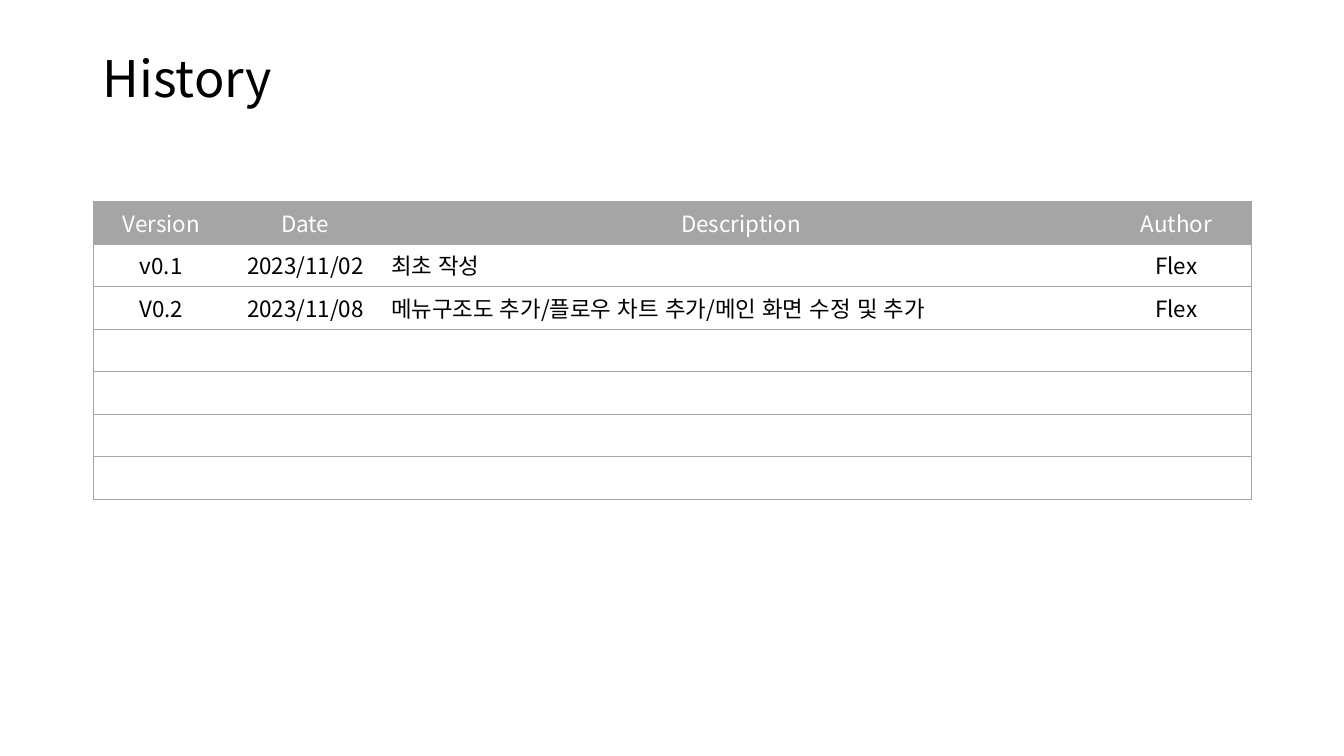
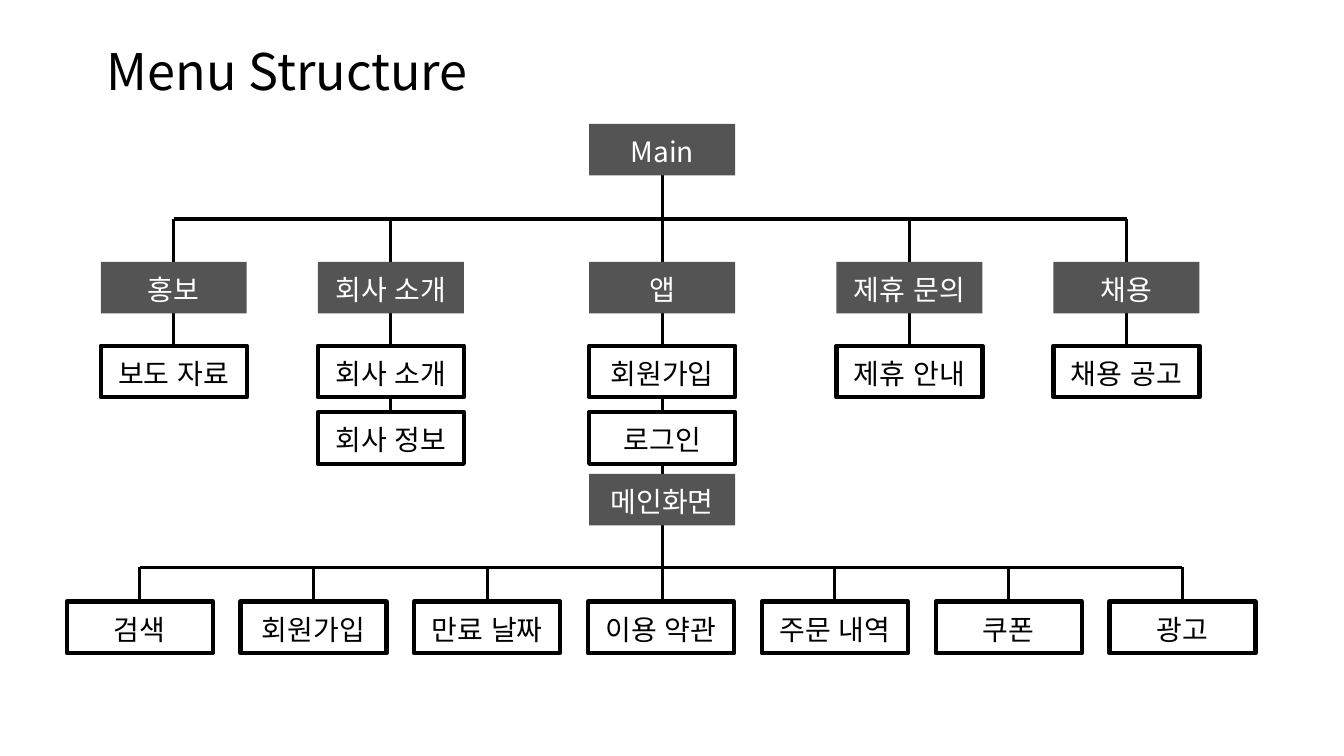
from lxml import etree
from pptx import Presentation
from pptx import util as u
from pptx.dml.color import RGBColor
from pptx.enum import lang, shapes, text
from pptx.oxml.ns import qn

# Shared look
COLORS = {"ink": "000000", "paper": "FFFFFF", "dark": "545454", "rule": "A5A5A5"}
FONT = "Noto Sans CJK KR"
CENTER, LEFT = text.PP_ALIGN.CENTER, text.PP_ALIGN.LEFT
TITLE_SIZE = (29.21, 2.03)

# History table
COLUMN_WIDTHS = [3.45, 3.81, 18.15, 3.79]
ROW_HEIGHT = 1.07
HISTORY = [
    ["Version", "Date", "Description", "Author"],
    ["v0.1", "2023/11/02", "최초 작성", "Flex"],
    ["V0.2", "2023/11/08", "메뉴구조도 추가/플로우 차트 추가/메인 화면 수정 및 추가", "Flex"],
] + [[""] * 4] * 4

# Menu tree: centres across, tops down
BOX_WIDTH, BOX_HEIGHT = 3.68, 1.3
TRUNK_X = 16.69
MAIN_TOP, HEAD_TOP, SCREEN_TOP, LEAF_TOP = 3.12, 6.6, 11.94, 15.16
ITEM_TOPS = [8.71, 10.39]
HEAD_BUS, LEAF_BUS = 5.52, 14.3
MENUS = [
    (4.38, "홍보", ["보도 자료"]),
    (9.85, "회사 소개", ["회사 소개", "회사 정보"]),
    (TRUNK_X, "앱", ["회원가입", "로그인"]),
    (22.92, "제휴 문의", ["제휴 안내"]),
    (28.39, "채용", ["채용 공고"]),
]
LEAVES = ["검색", "회원가입", "만료 날짜", "이용 약관", "주문 내역", "쿠폰", "광고"]
LEAF_START, LEAF_PITCH = 3.52, 4.38


def rgb(name):
    return RGBColor.from_string(COLORS[name])


def set_all(target, values):
    for name, value in values.items():
        setattr(target, name, value)


def write(frame, words, size, color, align=CENTER):
    para = frame.paragraphs[0]
    para.alignment = align
    span = para.add_run()
    span.text = words
    set_all(span.font, {"name": FONT, "size": u.Pt(size), "bold": False,
                        "language_id": lang.MSO_LANGUAGE_ID.KOREAN})
    span.font.color.rgb = rgb(color)
    latin = span.font._element.find(qn("a:latin"))
    east_asian = etree.Element(qn("a:ea"), typeface=FONT)
    latin.addnext(east_asian)
    return para


def add_page(deck, title, left, top):
    page = deck.slides.add_slide(deck.slide_layouts[5])
    box = page.shapes.title
    width, height = TITLE_SIZE
    set_all(box, {"left": u.Cm(left), "top": u.Cm(top),
                  "width": u.Cm(width), "height": u.Cm(height)})
    set_all(box.text_frame, {"vertical_anchor": text.MSO_ANCHOR.MIDDLE,
                             "auto_size": text.MSO_AUTO_SIZE.NONE, "word_wrap": True})
    write(box.text_frame, title, 36, "ink", LEFT).line_spacing = 0.9
    return page


def set_borders(cell, visible):
    properties = cell._tc.get_or_add_tcPr()
    for side in "LRTB":
        line = etree.SubElement(properties, qn(f"a:ln{side}"), w=str(u.Pt(0.5)))
        if side in visible:
            fill = etree.SubElement(line, qn("a:solidFill"))
            etree.SubElement(fill, qn("a:srgbClr"), val=COLORS["rule"])
        else:
            etree.SubElement(line, qn("a:noFill"))


def add_history(page, left, top):
    rows, columns = len(HISTORY), len(COLUMN_WIDTHS)
    table = page.shapes.add_table(
        rows, columns, u.Cm(left), u.Cm(top),
        u.Cm(sum(COLUMN_WIDTHS)), u.Cm(ROW_HEIGHT * rows)).table
    set_all(table, {"first_row": False, "horz_banding": False})
    for column, width in zip(table.columns, COLUMN_WIDTHS):
        column.width = u.Cm(width)
    for row, entries in enumerate(HISTORY):
        header = row == 0
        for column, words in enumerate(entries):
            cell = table.cell(row, column)
            sides = "TB" + "L" * (column == 0) + "R" * (column == columns - 1)
            set_borders(cell, sides)
            cell.fill.solid()
            cell.fill.fore_color.rgb = rgb("rule" if header else "paper")
            if words:
                align = LEFT if column == 2 and not header else CENTER
                write(cell.text_frame, words, 16, "paper" if header else "ink", align)


def add_line(page, x1, y1, x2, y2):
    line = page.shapes.add_connector(
        shapes.MSO_CONNECTOR.STRAIGHT, u.Cm(x1), u.Cm(y1), u.Cm(x2), u.Cm(y2))
    line.line.width = u.Pt(2.25)
    line.line.color.rgb = rgb("ink")
    etree.SubElement(line._element.spPr, qn("a:effectLst"))


def add_box(page, words, center, top, dark=False):
    box = page.shapes.add_shape(
        shapes.MSO_SHAPE.RECTANGLE, u.Cm(center - BOX_WIDTH / 2), u.Cm(top),
        u.Cm(BOX_WIDTH), u.Cm(BOX_HEIGHT))
    box.shadow.inherit = False
    box.fill.solid()
    box.fill.fore_color.rgb = rgb("dark" if dark else "paper")
    if dark:
        box.line.fill.background()
    else:
        box.line.width = u.Pt(3)
        box.line.color.rgb = rgb("ink")
    set_all(box.text_frame, {
        "margin_left": u.Cm(0.15), "margin_right": u.Cm(0.15),
        "margin_top": u.Cm(0.08), "margin_bottom": 0,
        "vertical_anchor": text.MSO_ANCHOR.MIDDLE, "word_wrap": True})
    write(box.text_frame, words, 20, "paper" if dark else "ink")


def add_menu_tree(page):
    leaf_centers = [LEAF_START + LEAF_PITCH * i for i in range(len(LEAVES))]

    # Lines lie behind the boxes
    add_line(page, TRUNK_X, MAIN_TOP + BOX_HEIGHT, TRUNK_X, LEAF_TOP)
    add_line(page, MENUS[0][0], HEAD_BUS, MENUS[-1][0], HEAD_BUS)
    add_line(page, leaf_centers[0], LEAF_BUS, leaf_centers[-1], LEAF_BUS)
    for center, _, items in MENUS:
        if center != TRUNK_X:
            add_line(page, center, HEAD_BUS, center, ITEM_TOPS[len(items) - 1])
    for i, center in enumerate(leaf_centers):
        if i != len(LEAVES) // 2:
            add_line(page, center, LEAF_BUS, center, LEAF_TOP)

    # Boxes, level by level
    add_box(page, "Main", TRUNK_X, MAIN_TOP, dark=True)
    for center, head, items in MENUS:
        add_box(page, head, center, HEAD_TOP, dark=True)
        for item, top in zip(items, ITEM_TOPS):
            add_box(page, item, center, top)
    add_box(page, "메인화면", TRUNK_X, SCREEN_TOP, dark=True)
    for leaf, center in zip(LEAVES, leaf_centers):
        add_box(page, leaf, center, LEAF_TOP)


def main():
    deck = Presentation()
    set_all(deck, {"slide_width": u.Cm(33.87), "slide_height": u.Cm(19.05)})
    add_history(add_page(deck, "History", 2.34, 1.02), 2.34, 5.08)
    add_menu_tree(add_page(deck, "Menu Structure", 2.44, 0.86))
    deck.save("out.pptx")


if __name__ == "__main__":
    main()
